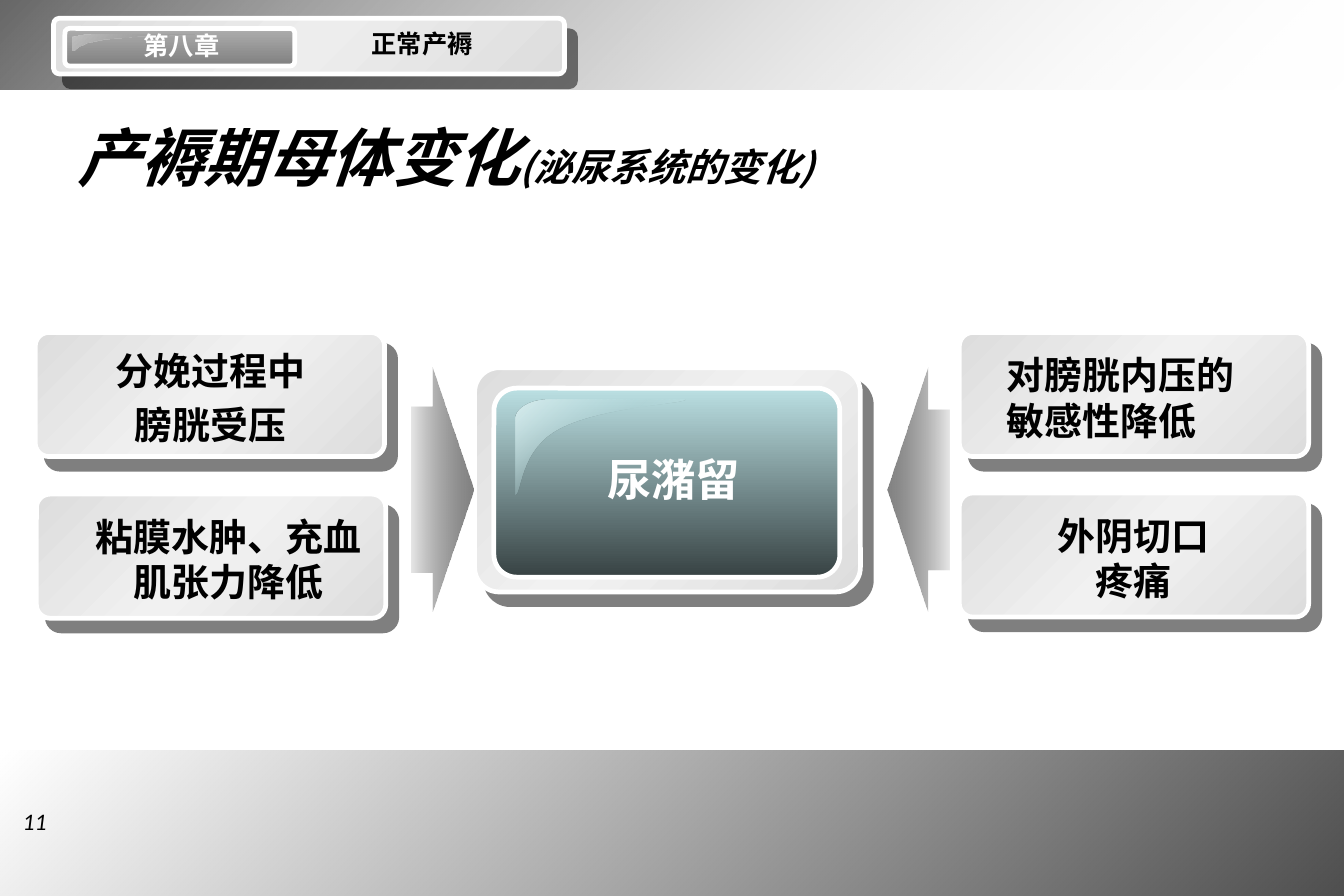
from lxml import etree
from pptx import Presentation
from pptx.dml.color import RGBColor
from pptx.enum.shapes import MSO_SHAPE
from pptx.enum.text import MSO_ANCHOR, MSO_AUTO_SIZE, PP_ALIGN
from pptx.oxml import parse_xml
from pptx.oxml.ns import nsdecls, qn
from pptx.util import Emu, Pt

PX = 9144  # 100 px to the inch
RECT, ROUND = MSO_SHAPE.RECTANGLE, MSO_SHAPE.ROUNDED_RECTANGLE
LEFT, CENTER = PP_ALIGN.LEFT, PP_ALIGN.CENTER
TOP, MIDDLE = MSO_ANCHOR.TOP, MSO_ANCHOR.MIDDLE
GROW, FIXED = MSO_AUTO_SIZE.SHAPE_TO_FIT_TEXT, MSO_AUTO_SIZE.NONE
HAN = "Noto Sans CJK SC"

COLORS = {
    "black": "000000", "white": "FFFFFF", "silver": "DDDDDD", "pearl": "F1F1F1",
    "light": "EDEDED", "ash": "ADADAD", "gray": "808080", "shine": "C0C0C0",
    "charcoal": "3B3B3B", "aqua": "BBE0E3", "slate": "374243", "mist": "D9EDEE",
}

# Gradients: angle, then stops of (position %, colour, opacity %)
HEADER_FADE = (45, [(0, "black", 60), (100, "white", 0)])
FOOTER_FADE = (45, [(0, "black", 0), (100, "black", 70)])
HEADER_PLATE = (225, [(0, "silver", 100), (50, "light", 100), (100, "silver", 100)])
CARD_PLATE = (225, [(0, "silver", 100), (50, "pearl", 100), (100, "silver", 100)])
CHAPTER_FILL = (90, [(0, "ash", 100), (100, "gray", 100)])
CENTER_FILL = (90, [(0, "aqua", 100), (100, "slate", 100)])
CHAPTER_GLOSS = (225, [(0, "gray", 0), (100, "shine", 100)])
CENTER_GLOSS = (225, [(0, "mist", 100), (50, "aqua", 0), (100, "mist", 100)])
RIGHT_FADE = (180, [(0, "gray", 100), (100, "charcoal", 12)])
LEFT_FADE = (180, [(0, "charcoal", 12), (100, "gray", 100)])

# Gloss outline on a 151 x 83 grid: Bezier curves of four points each
GLOSS_SIZE = (151, 83)
GLOSS_CURVES = [
    ((30, 0), (13, 0), (0, 8), (0, 17)),
    ((0, 83), (6, 84), (3, 43), (40, 25)),
    ((40, 25), (78, 6), (151, 4), (149, 0)),
]

# Card place, text place, lines, alignment, line spacing
CARD_SIZE = (307, 109)
CARDS = [
    ((31, 292), (64, 292, 242, 106), ["分娩过程中", "膀胱受压"], CENTER, 1.2),
    ((32, 434), (63, 446, 276, 90), ["粘膜水肿、充血肌张力降低"], CENTER, 1.0),
    ((843, 292), (875, 304, 242, 90), ["对膀胱内压的", "敏感性降低"], LEFT, 1.0),
    ((843, 433), (875, 445, 242, 90), ["外阴切口", "疼痛"], CENTER, 1.0),
]
ARROWS = [
    (MSO_SHAPE.RIGHT_ARROW, (362, 323, 54, 214), RIGHT_FADE, (0.68, 0.66)),
    (MSO_SHAPE.LEFT_ARROW, (780, 323, 54, 214), LEFT_FADE, (0.66, 0.65)),
]
# Labels: place, lines of runs (text, size), then style and layout
CHAPTER = dict(place=(60, 21, 199, 38), lines=[[("第八章", 16)]], color="white",
               align=CENTER, insets=(11, 6))
TOPIC = dict(place=(249, 19, 249, 38), lines=[[("正常产褥 ", 16)]],
             align=CENTER, insets=(11, 6))
TITLE = dict(place=(57, 87, 1063, 100), font=HAN, italic=True, anchor=MIDDLE, fit=FIXED,
             lines=[[("产褥期母体变化", 40), ("(泌尿系统的变化)", 24)]], insets=(11, 5))
RESULT = dict(place=(473, 392, 238, 57), lines=[[("尿潴留", 28)]], color="white",
              font=HAN, align=CENTER)
NUMBER = dict(place=(9, 704, 276, 55), lines=[[("11", 15)]], font="Calibri",
              bold=False, italic=True, insets=(11, 5), fit=FIXED)


def px(*lengths):
    return [Emu(round(length * PX)) for length in lengths]


def set_gradient(shape, gradient):
    angle, stops = gradient
    marks = "".join(
        f'<a:gs pos="{position * 1000}"><a:srgbClr val="{COLORS[color]}">'
        f'<a:alpha val="{opacity * 1000}"/></a:srgbClr></a:gs>'
        for position, color, opacity in stops)
    shape.fill.background()
    properties = shape._element.spPr
    properties.replace(properties.find(qn("a:noFill")), parse_xml(
        f'<a:gradFill {nsdecls("a")}><a:gsLst>{marks}</a:gsLst>'
        f'<a:lin ang="{angle * 60000}" scaled="0"/></a:gradFill>'))


def finish(shape, gradient, outlined=False, shadowed=False):
    """Apply gradient, outline and the hard offset shadow."""
    set_gradient(shape, gradient)
    if outlined:
        shape.line.color.rgb = RGBColor.from_string(COLORS["white"])
        shape.line.width = Pt(3)
    else:
        shape.line.fill.background()
    shape.shadow.inherit = False
    if shadowed:
        shape._element.spPr.find(qn("a:effectLst")).append(parse_xml(
            f'<a:outerShdw {nsdecls("a")} blurRad="0" dist="{Pt(10.6)}" dir="{49 * 60000}" '
            f'algn="ctr" rotWithShape="0"><a:srgbClr val="{COLORS["black"]}">'
            '<a:alpha val="50000"/></a:srgbClr></a:outerShdw>'))


def add_panel(page, kind, place, gradient, adjustments=(), **finishing):
    shape = page.shapes.add_shape(kind, *px(*place))
    for index, value in enumerate(adjustments):
        shape.adjustments[index] = value
    finish(shape, gradient, **finishing)


def add_gloss(page, place, gradient, steps=16):
    left, top, width, height = place
    points = []
    for curve in GLOSS_CURVES:
        for step in range(steps + 1):
            t = step / steps
            weights = ((1 - t) ** 3, 3 * t * (1 - t) ** 2, 3 * t * t * (1 - t), t ** 3)
            x, y = (sum(w * point[axis] for w, point in zip(weights, curve)) for axis in (0, 1))
            points.append(px(left + x * width / GLOSS_SIZE[0], top + y * height / GLOSS_SIZE[1]))
    builder = page.shapes.build_freeform(*points[0])
    builder.add_line_segments(points[1:], close=True)
    finish(builder.convert_to_shape(), gradient)


def add_label(page, place, lines, color="black", font="Arial", bold=True, italic=False,
              align=LEFT, anchor=TOP, spacing=1.0, insets=(10, 5), fit=GROW):
    frame = page.shapes.add_textbox(*px(*place)).text_frame
    frame.word_wrap = True
    frame.auto_size = fit
    frame.vertical_anchor = anchor
    frame.margin_left, frame.margin_top = px(*insets)
    frame.margin_right, frame.margin_bottom = px(*insets)
    for index, runs in enumerate(lines):
        para = frame.add_paragraph() if index else frame.paragraphs[0]
        para.alignment = align
        para.line_spacing = spacing
        for text, size in runs:
            span = para.add_run()
            span.text = text
            span.font.size = Pt(size)
            span.font.bold = bold
            span.font.italic = italic
            span.font.color.rgb = RGBColor.from_string(COLORS[color])
            span.font.name = font
            etree.SubElement(span._r.get_or_add_rPr(), qn("a:ea")).set("typeface", HAN)


def add_card(page, corner, place, lines, align, spacing):
    add_panel(page, ROUND, corner + CARD_SIZE, CARD_PLATE, [0.11], outlined=True, shadowed=True)
    add_label(page, place, [[(line, 24)] for line in lines], align=align, spacing=spacing)


def main():
    deck = Presentation()
    deck.slide_width, deck.slide_height = px(1181, 787)
    page = deck.slides.add_slide(deck.slide_layouts[6])

    add_panel(page, RECT, (0, 0, 1181, 79), HEADER_FADE)
    add_panel(page, RECT, (0, 659, 1181, 128), FOOTER_FADE)
    add_panel(page, ROUND, (47, 16, 449, 49), HEADER_PLATE, [0.11], outlined=True, shadowed=True)
    add_panel(page, ROUND, (57, 25, 202, 33), CHAPTER_FILL, [0.12], outlined=True)
    add_gloss(page, (64, 30, 116, 14), CHAPTER_GLOSS)
    for label in (CHAPTER, TOPIC, TITLE):
        add_label(page, **label)

    add_panel(page, ROUND, (417, 323, 339, 197), CARD_PLATE, [0.11], outlined=True, shadowed=True)
    add_panel(page, ROUND, (434, 341, 304, 166), CENTER_FILL, [0.12], outlined=True)
    add_gloss(page, (453, 351, 151, 83), CENTER_GLOSS)
    add_label(page, **RESULT)
    for arrow in ARROWS:
        add_panel(page, *arrow)
    for card in CARDS:
        add_card(page, *card)
    add_label(page, **NUMBER)
    deck.save("out.pptx")


if __name__ == "__main__":
    main()
